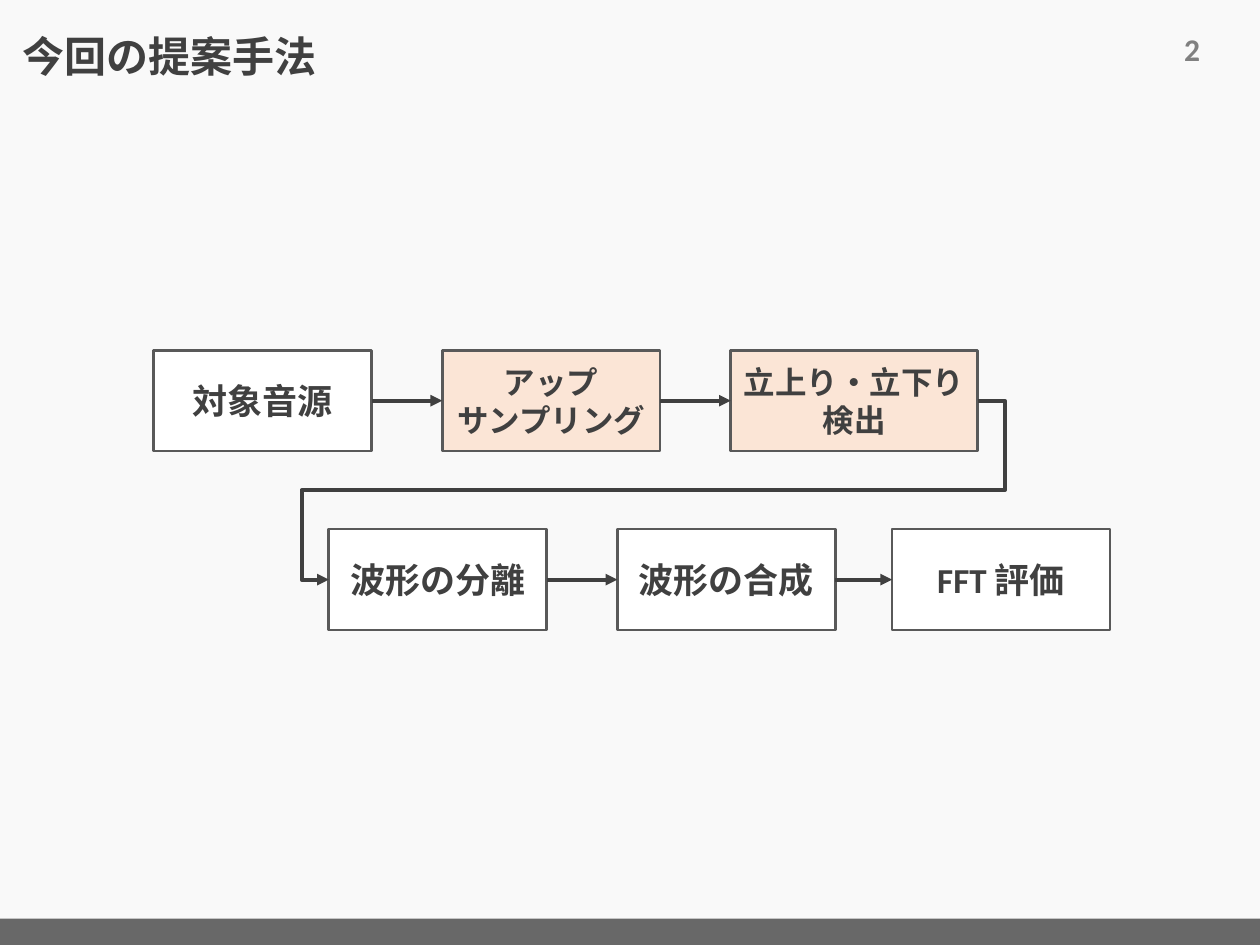
from lxml import etree
from pptx import Presentation, util as u
from pptx.dml.color import RGBColor
from pptx.enum import shapes, text
from pptx.oxml.ns import qn

TITLE = "今回の提案手法"
PAGE = "2"
WHITE, PEACH, GREY, DARK = "FFFFFF", "FBE5D6", "595959", "404040"
STEP_W, STEP_H, GAP = 1.73, 0.8, 0.56
# Each row: left, top, steps; each step: text, fill, size, width, gap after it
ROWS = [
    (1.22, 2.78, [
        ("対象音源", WHITE, 20, STEP_W, GAP),
        ("アップ\nサンプリング", PEACH, 18, STEP_W, GAP),
        ("立上り・立下り\n検出", PEACH, 18, 1.96, 0),
    ]),
    (2.61, 4.2, [
        ("波形の分離", WHITE, 20, STEP_W, GAP),
        ("波形の合成", WHITE, 20, STEP_W, 0.45),
        ("FFT 評価", WHITE, 20, STEP_W, 0),
    ]),
]
LEFT_SITE, RIGHT_SITE = 1, 3


def rgb(color):
    """Turn a hex string into a colour."""
    return RGBColor.from_string(color)


def inches(*lengths):
    """Turn lengths in inches into slide units."""
    return [u.Inches(length) for length in lengths]


def write(part, words, size, color, font="Calibri", align=None):
    """Put bold text into a shape and format its runs."""
    frame = part.text_frame
    frame.word_wrap = True
    frame.text = words
    for paragraph in frame.paragraphs:
        paragraph.alignment = align
        for run in paragraph.runs:
            run.font.size = u.Pt(size)
            run.font.name = font
            run.font.bold = True
            run.font.color.rgb = rgb(color)
    return frame


def box(slide, place, fill, outline=None):
    """Draw a flat rectangle."""
    part = slide.shapes.add_shape(shapes.MSO_SHAPE.RECTANGLE, *inches(*place))
    part.shadow.inherit = False
    part.fill.solid()
    part.fill.fore_color.rgb = rgb(fill)
    if outline:
        part.line.color.rgb = rgb(outline)
        part.line.width = u.Pt(1.5)
    else:
        part.line.fill.background()
    return part


def add_step(slide, place, words, fill, size):
    """Draw one step of the flow."""
    step = box(slide, place, fill, GREY)
    frame = write(step, words, size, DARK, align=text.PP_ALIGN.CENTER)
    frame.vertical_anchor = text.MSO_ANCHOR.MIDDLE
    return step


def add_arrow(slide, start, end, kind=shapes.MSO_CONNECTOR.STRAIGHT):
    """Join the right side of one step to the left side of another."""
    arrow = slide.shapes.add_connector(kind, 0, 0, 0, 0)
    arrow.begin_connect(start, RIGHT_SITE)
    arrow.end_connect(end, LEFT_SITE)
    arrow.line.color.rgb = rgb(DARK)
    arrow.line.width = u.Pt(2.25)
    etree.SubElement(arrow.line._get_or_add_ln(), qn("a:tailEnd"), type="triangle")
    etree.SubElement(arrow._element.spPr, qn("a:effectLst"))
    return arrow


def wrap_around(arrow, bends):
    """Give an elbow arrow three bends, as shares of its size."""
    geometry = arrow._element.spPr.find(qn("a:prstGeom"))
    geometry.set("prst", "bentConnector5")
    guides = geometry.find(qn("a:avLst"))
    for number, share in enumerate(bends, 1):
        etree.SubElement(guides, qn("a:gd"), name=f"adj{number}",
                         fmla=f"val {round(share * 100000)}")


def main():
    """Build the slide."""
    deck = Presentation()
    deck.slide_width, deck.slide_height = inches(10, 7.5)
    slide = deck.slides.add_slide(deck.slide_layouts[6])
    slide.background.fill.solid()
    slide.background.fill.fore_color.rgb = rgb("F9F9F9")

    footer = box(slide, (0, 7.29, 10, 0.21), GREY)
    color = footer.fill._xPr.find(qn("a:solidFill"))[0]
    etree.SubElement(color, qn("a:alpha"), val="90000")

    title = slide.shapes.add_textbox(*inches(0.08, 0.08, 7.56, 0.62))
    frame = write(title, TITLE, 24, DARK, "Arial")
    frame.vertical_anchor = text.MSO_ANCHOR.BOTTOM
    frame.paragraphs[0].line_spacing = 0.9
    page = slide.shapes.add_textbox(*inches(9.3, 0.19, 0.53, 0.4))
    write(page, PAGE, 18, "808080")

    flow = []
    for left, top, steps in ROWS:
        row = []
        for words, fill, size, width, gap in steps:
            row.append(add_step(slide, (left, top, width, STEP_H), words, fill, size))
            left += width + gap
        flow.append(row)

    for row in flow:
        for start, end in zip(row, row[1:]):
            add_arrow(slide, start, end)
    upper, lower = flow
    turn = add_arrow(slide, upper[-1], lower[0], shapes.MSO_CONNECTOR.ELBOW)
    wrap_around(turn, (-0.042, 0.5, 1.042))
    deck.save("out.pptx")


main()
